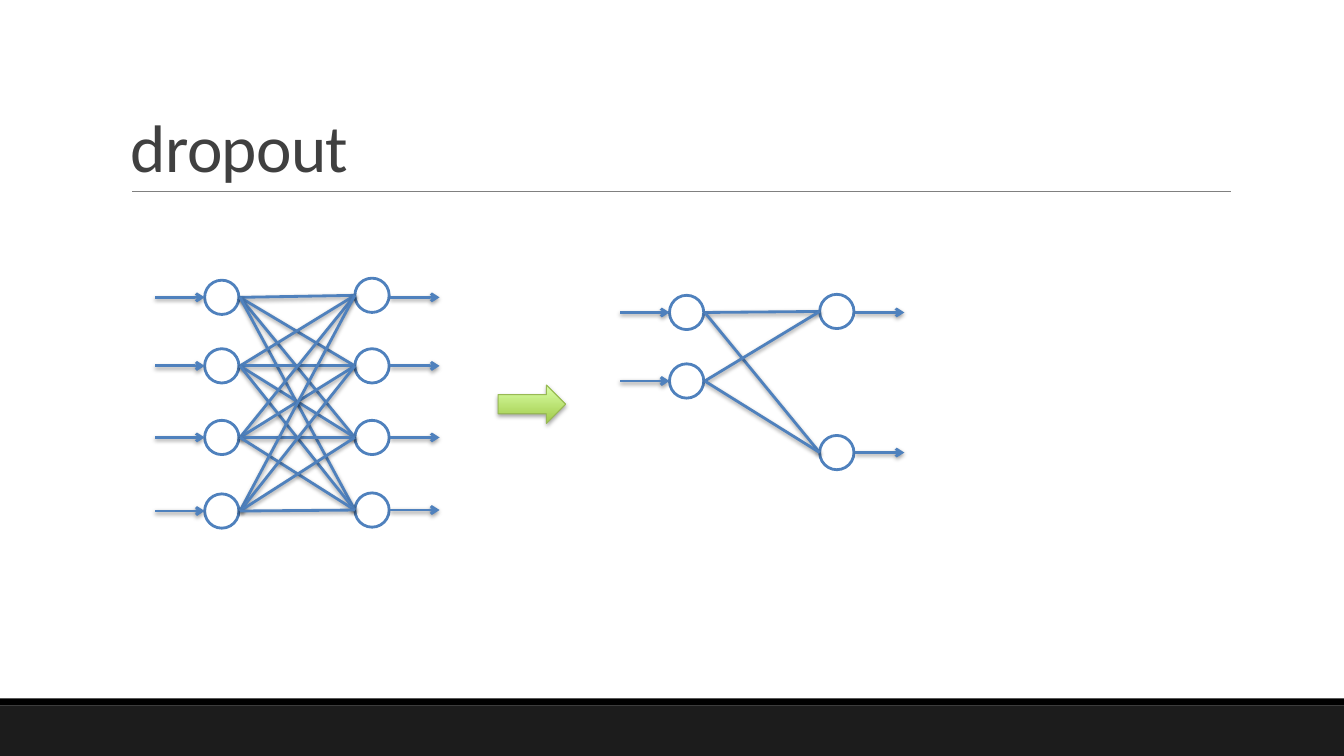
from lxml.etree import SubElement
from pptx import Presentation
from pptx.dml.color import RGBColor
from pptx.enum.shapes import MSO_CONNECTOR, MSO_SHAPE
from pptx.enum.text import MSO_ANCHOR
from pptx.oxml.ns import qn
from pptx.util import Inches, Pt


def color(code):
    return RGBColor.from_string(code)


class Deck:
    font, ink, blue = "Calibri", "404040", "4F81BD"
    size = 0.34

    def __init__(self, slide):
        self.slide = slide
        self.shapes = slide.shapes

    def shape(self, kind, x, y, w, h, fill=None, line=None, width=2):
        item = self.shapes.add_shape(kind, Inches(x), Inches(y), Inches(w), Inches(h))
        item.shadow.inherit = False
        if fill:
            item.fill.solid()
            item.fill.fore_color.rgb = color(fill)
        if line:
            item.line.color.rgb = color(line)
            item.line.width = Pt(width)
        else:
            item.line.fill.background()
        return item

    def shade(self, item, alpha, dist):
        effects = item.element.spPr.find(qn("a:effectLst"))
        shadow = SubElement(effects, qn("a:outerShdw"), blurRad=str(Pt(3.1)),
                            dist=str(Pt(dist)), dir="5400000", rotWithShape="0")
        tint = SubElement(shadow, qn("a:srgbClr"), val="000000")
        SubElement(tint, qn("a:alpha"), val=str(alpha * 1000))

    def line(self, x1, y1, x2, y2, code=blue, width=2, head=False, shade=True):
        item = self.shapes.add_connector(MSO_CONNECTOR.STRAIGHT, Inches(x1), Inches(y1),
                                         Inches(x2), Inches(y2))
        item.line.color.rgb = color(code)
        item.line.width = Pt(width)
        props = item.element.spPr
        if head:
            SubElement(props.find(qn("a:ln")), qn("a:tailEnd"), type="arrow")
        SubElement(props, qn("a:effectLst"))
        if shade:
            self.shade(item, 38, 1.6)

    def title(self, text, x, y, w, h):
        frame = self.shapes.add_textbox(Inches(x), Inches(y), Inches(w), Inches(h)).text_frame
        frame.word_wrap = True
        frame.vertical_anchor = MSO_ANCHOR.BOTTOM
        frame.text = text
        para = frame.paragraphs[0]
        para.line_spacing = 0.85
        run = para.runs[0]
        run.font.name = self.font
        run.font.size = Pt(48)
        run.font.color.rgb = color(self.ink)
        run.font._element.set("spc", "-50")

    def node(self, x, y):
        self.shape(MSO_SHAPE.OVAL, x, y - self.size / 2, self.size, self.size,
                   "FFFFFF", self.blue)

    def net(self, x, ins, outs):
        """Two layers: ins are node heights, outs pair node and arrow heights."""
        right, stub = x + 1.98, 0.49
        near = x + stub
        for y in ins:
            self.node(near, y)
            self.line(x, y, near, y, head=True)
        for y, tip in outs:
            self.node(right, y)
            self.line(right + 0.35, tip, right + 0.35 + stub, tip, head=True)
        for start in ins:
            for end, _ in outs:
                self.line(near + 0.35, start, right, end)

    def arrow(self, x, y, w, h):
        item = self.shape(MSO_SHAPE.RIGHT_ARROW, x, y, w, h, line="98B955", width=0.75)
        item.fill.gradient()
        item.fill.gradient_angle = 90
        for stop, code in zip(item.fill.gradient_stops, ("A0CA4A", "DAFFA5")):
            stop.color.rgb = color(code)
        self.shade(item, 35, 1.8)


def main():
    prs = Presentation()
    prs.slide_width, prs.slide_height = Inches(13.33), Inches(7.5)
    deck = Deck(prs.slides.add_slide(prs.slide_layouts[6]))

    # Footer bands and title
    deck.shape(MSO_SHAPE.RECTANGLE, 0, 7, 13.33, 0.5, "1C1C1C")
    deck.shape(MSO_SHAPE.RECTANGLE, 0, 6.93, 13.33, 0.07, "000000")
    deck.line(1.31, 1.9, 12.21, 1.9, "808080", 0.5, shade=False)
    deck.title("dropout", 1.2, 0.31, 11, 1.59)

    # Full network, then the one with dropped nodes
    deck.net(1.54, (2.95, 3.63, 4.34, 5.07),
             ((2.93, 2.95), (3.63, 3.63), (4.34, 4.34), (5.06, 5.06)))
    deck.net(6.15, (3.1, 3.78), ((3.09, 3.1), (4.49, 4.49)))

    # Step between the networks
    deck.arrow(4.94, 3.82, 0.67, 0.38)

    prs.save("out.pptx")


if __name__ == "__main__":
    main()
